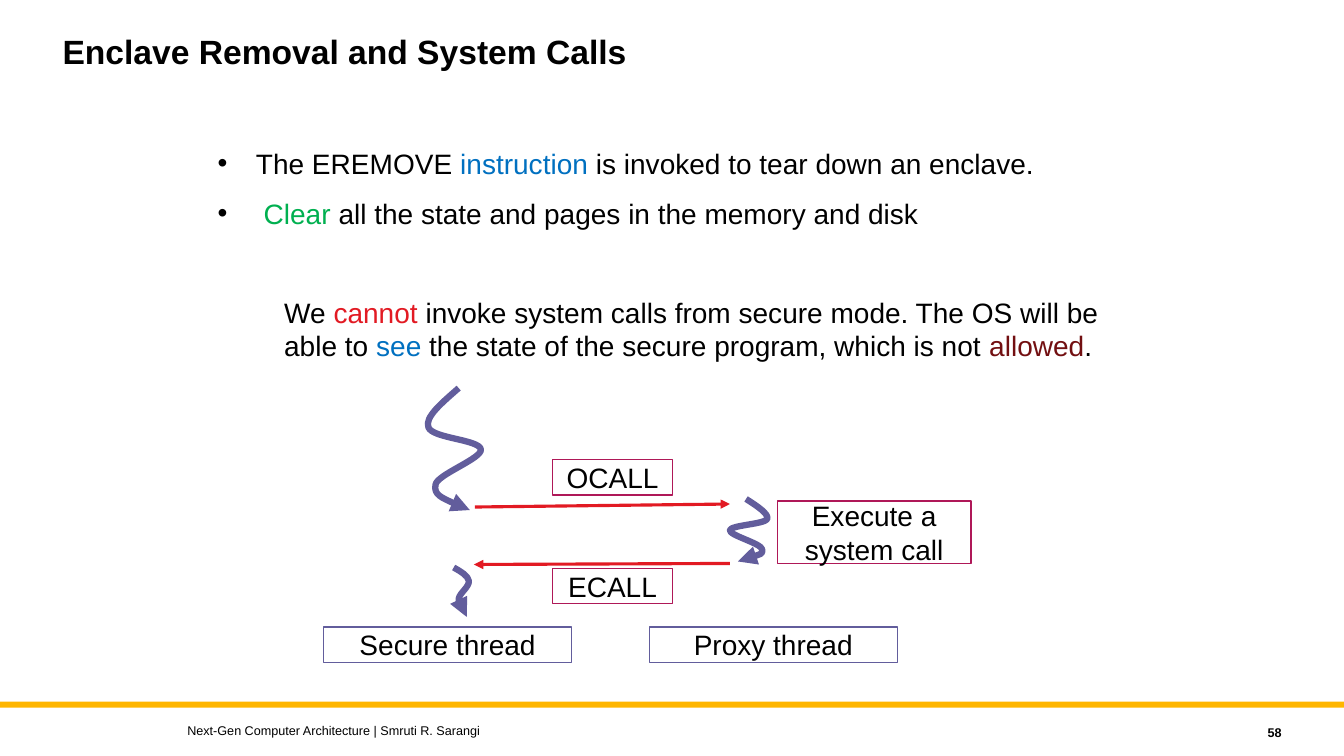
from dataclasses import dataclass

from lxml.etree import SubElement
from pptx import Presentation
from pptx.dml.color import RGBColor
from pptx.enum.shapes import MSO_CONNECTOR, MSO_SHAPE
from pptx.enum.text import MSO_ANCHOR, MSO_AUTO_SIZE, PP_ALIGN
from pptx.oxml.ns import qn
from pptx.util import Emu, Pt

PX = 9144  # EMU per px, 100 px to the inch


@dataclass(frozen=True)
class Theme:
    font: str = "Arial"
    title_size: int = 24
    text_size: int = 20
    footer_size: int = 9
    black: str = "000000"
    white: str = "FFFFFF"
    blue: str = "0070C0"
    green: str = "00B050"
    red: str = "E21A23"
    maroon: str = "720F11"
    purple: str = "625D9C"
    magenta: str = "AF1858"
    gold: str = "FFB600"


class SlideBuilder:
    def __init__(self, prs, theme):
        self.theme = theme
        self.s = prs.slides.add_slide(prs.slide_layouts[5])

    # Text
    def add_runs(self, p, parts, size, bold=False, align=PP_ALIGN.LEFT):
        """Parts are strings or (string, colour) pairs; a newline breaks the line."""
        p.alignment = align
        for part in parts:
            text, color = (part, self.theme.black) if isinstance(part, str) else part
            for i, line in enumerate(text.split("\n")):
                if i:
                    p.add_line_break()
                r = p.add_run()
                r.text = line
                style = {"name": self.theme.font, "size": Pt(size), "bold": bold}
                for name, value in style.items():
                    setattr(r.font, name, value)
                r.font.color.rgb = RGBColor.from_string(color)

    def frame(self, sp, anchor, wrap=True):
        tf = sp.text_frame
        style = {"word_wrap": wrap, "auto_size": MSO_AUTO_SIZE.NONE, "vertical_anchor": anchor}
        for name, value in style.items():
            setattr(tf, name, value)
        return tf

    def title(self, text, *box):
        sp = self.s.shapes.title
        for name, value in zip(("left", "top", "width", "height"), box):
            setattr(sp, name, Emu(value * PX))
        p = self.frame(sp, MSO_ANCHOR.TOP).paragraphs[0]
        p.line_spacing = 0.9
        self.add_runs(p, [text], self.theme.title_size, bold=True)

    def text(self, parts, *box, size=None, anchor=MSO_ANCHOR.TOP, wrap=True, **style):
        sp = self.s.shapes.add_textbox(*(v * PX for v in box))
        p = self.frame(sp, anchor, wrap).paragraphs[0]
        self.add_runs(p, parts, size or self.theme.text_size, **style)

    def bullets(self, items, *box, indent=38):
        tf = self.frame(self.s.shapes.add_textbox(*(v * PX for v in box)), MSO_ANCHOR.TOP)
        for i, parts in enumerate(items):
            p = tf.add_paragraph() if i else tf.paragraphs[0]
            pPr = p._p.get_or_add_pPr()
            pPr.set("marL", str(indent * PX))
            pPr.set("indent", str(-indent * PX))
            SubElement(pPr, qn("a:buFont"), typeface=self.theme.font)
            SubElement(pPr, qn("a:buChar"), char="•")
            if i:
                p.space_before = Pt(12)
            self.add_runs(p, parts, self.theme.text_size)

    # Shapes
    def rect(self, fill, *box, line=None):
        sp = self.s.shapes.add_shape(MSO_SHAPE.RECTANGLE, *(v * PX for v in box))
        sp.shadow.inherit = False
        sp.fill.solid()
        sp.fill.fore_color.rgb = RGBColor.from_string(fill)
        if line:
            self.stroke(sp, line, 1)
        else:
            sp.line.fill.background()
        return sp

    def label(self, text, line, *box):
        sp = self.rect(self.theme.white, *box, line=line)
        p = self.frame(sp, MSO_ANCHOR.MIDDLE).paragraphs[0]
        self.add_runs(p, [text], self.theme.text_size, align=PP_ALIGN.CENTER)

    # Lines
    def stroke(self, sp, color, width, arrow=False):
        sp.line.color.rgb = RGBColor.from_string(color)
        sp.line.width = Pt(width)
        if arrow:
            SubElement(sp._element.spPr.find(qn("a:ln")), qn("a:tailEnd"), type="triangle")

    def arrow(self, color, *ends):
        sp = self.s.shapes.add_connector(MSO_CONNECTOR.STRAIGHT, *(v * PX for v in ends))
        self.stroke(sp, color, 2.25, arrow=True)
        SubElement(sp._element.spPr, qn("a:effectLst"))

    def squiggle(self, color, start, *points):
        """Bezier thread: every three points after the start make one curve."""
        builder = self.s.shapes.build_freeform(*start, scale=PX)
        builder.add_line_segments(points, close=False)
        sp = builder.convert_to_shape()
        sp.shadow.inherit = False
        sp.fill.background()
        self.stroke(sp, color, 4.5, arrow=True)
        segments = list(sp._element.iter(qn("a:lnTo")))
        outline = segments[0].getparent()
        for i in range(0, len(segments), 3):
            curve = SubElement(outline, qn("a:cubicBezTo"))
            for segment in segments[i:i + 3]:
                curve.append(segment[0])
                outline.remove(segment)


def main():
    prs = Presentation()
    prs.slide_width, prs.slide_height = Emu(1333 * PX), Emu(750 * PX)
    t = Theme()
    s = SlideBuilder(prs, t)

    # Title and footer
    s.title("Enclave Removal and System Calls", 52, 30, 1000, 90)
    s.rect(t.gold, 0, 696, 1333, 6)
    footer = {"size": t.footer_size, "anchor": MSO_ANCHOR.MIDDLE}
    s.text(["Next-Gen Computer Architecture | Smruti R. Sarangi"], 176, 712, 800, 25, **footer)
    s.text(["58"], 1141, 714, 140, 25, bold=True, align=PP_ALIGN.RIGHT, **footer)

    # Enclave removal and the system call problem
    s.bullets([
        ["The EREMOVE ", ("instruction", t.blue), " is invoked to tear down an enclave."],
        [" ", ("Clear", t.green), " all the state and pages in the memory and disk"],
    ], 206, 140, 952, 109)
    s.text([
        "We ", ("cannot", t.red),
        " invoke system calls from secure mode. The OS will be\nable to ", ("see", t.blue),
        " the state of the secure program, which is not ", ("allowed", t.maroon), ".",
    ], 272, 288, 834, 77, wrap=False)

    # Threads: secure before the call, proxy, secure after the call
    s.squiggle(t.purple, (455, 385), (438, 400), (421, 414), (425, 424),
               (429, 435), (476, 436), (477, 446), (478, 455), (433, 471), (432, 481),
               (430, 491), (448, 499), (466, 506))
    s.squiggle(t.purple, (740, 495), (751, 502), (763, 510), (761, 515),
               (758, 520), (725, 521), (724, 526), (723, 531), (755, 539), (756, 545),
               (757, 550), (745, 553), (732, 557))
    s.squiggle(t.purple, (450, 563), (457, 567), (464, 571), (465, 576),
               (466, 582), (456, 588), (455, 594), (455, 600), (459, 606), (463, 612))

    # Calls between the threads
    s.arrow(t.red, 471, 503, 724, 500)
    s.arrow(t.red, 724, 559, 470, 560)
    for text, top in (("OCALL", 456), ("ECALL", 564)):
        s.label(text, t.magenta, 548, top, 119, 35)
    s.label("Execute a system call", t.magenta, 771, 497, 192, 62)

    # Thread names
    for text, left in (("Secure thread", 321), ("Proxy thread", 644)):
        s.label(text, t.purple, left, 622, 246, 35)

    prs.save("out.pptx")


if __name__ == "__main__":
    main()
